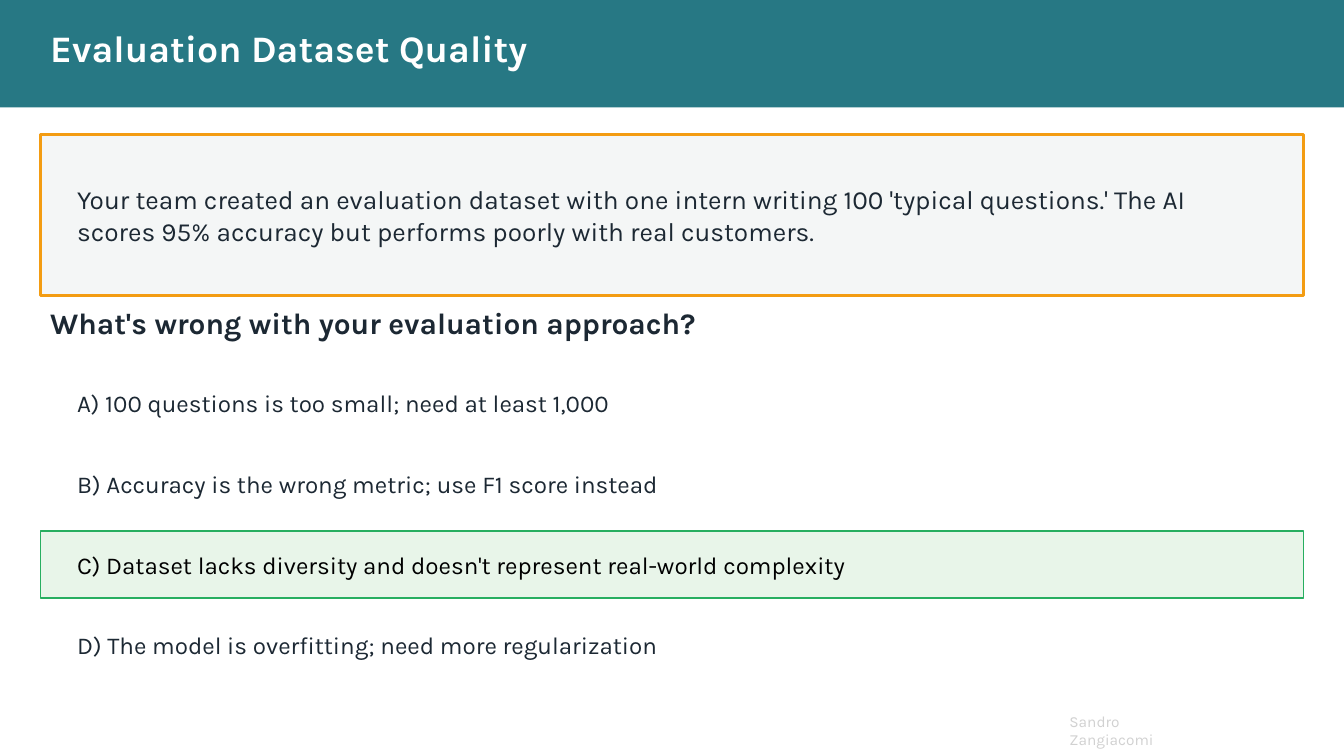
from dataclasses import dataclass

from pptx import Presentation
from pptx.dml.color import RGBColor
from pptx.enum.shapes import MSO_SHAPE
from pptx.enum.text import MSO_ANCHOR
from pptx.util import Pt

RECT = MSO_SHAPE.RECTANGLE
TOP, MIDDLE = MSO_ANCHOR.TOP, MSO_ANCHOR.MIDDLE


@dataclass(frozen=True)
class Theme:
    font: str = "Karla"
    teal: str = "277884"
    white: str = "FFFFFF"
    ink: str = "1C2833"
    black: str = "000000"
    panel: str = "F4F6F6"
    orange: str = "F39C12"
    mint: str = "E8F5E9"
    green: str = "27AE60"
    grey: str = "D1D1D1"
    title: float = 26.7
    question: float = 21.3
    scenario: float = 18.7
    option: float = 17.3
    footer: float = 11


THEME = Theme()
WIDTH, HEIGHT = 960, 540
MARGIN, INDENT = 28.8, 19.2
CONTENT_W = WIDTH - 2 * MARGIN
OPTION_H, OPTION_PITCH = 48, 57.6

SCENARIO = ("Your team created an evaluation dataset with one intern writing 100 "
            "'typical questions.' The AI scores 95% accuracy but performs poorly "
            "with real customers.")
OPTIONS = (
    "A) 100 questions is too small; need at least 1,000",
    "B) Accuracy is the wrong metric; use F1 score instead",
    "C) Dataset lacks diversity and doesn't represent real-world complexity",
    "D) The model is overfitting; need more regularization",
)
CORRECT = 2


def add_box(s, x, y, w, h, fill, line=None, line_width=1):
    sp = s.shapes.add_shape(RECT, Pt(x), Pt(y), Pt(w), Pt(h))
    sp.shadow.inherit = False
    sp.fill.solid()
    sp.fill.fore_color.rgb = RGBColor.from_string(fill)
    if line:
        sp.line.color.rgb = RGBColor.from_string(line)
        sp.line.width = Pt(line_width)
    else:
        sp.line.fill.background()


def add_text(s, x, y, w, h, text, size, color, bold=False, anchor=MIDDLE):
    tf = s.shapes.add_textbox(Pt(x), Pt(y), Pt(w), Pt(h)).text_frame
    tf.word_wrap = True
    tf.vertical_anchor = anchor
    r = tf.paragraphs[0].add_run()
    r.text = text
    for name, value in {"name": THEME.font, "size": Pt(size), "bold": bold}.items():
        setattr(r.font, name, value)
    r.font.color.rgb = RGBColor.from_string(color)


def add_header(s, x, y, w, h, title):
    add_box(s, x, y, w, h, THEME.teal)
    add_text(s, x + MARGIN, y + 9.6, 720, 48, title, THEME.title, THEME.white, bold=True)


def add_scenario(s, x, y, w, h):
    add_box(s, x, y, w, h, THEME.panel, THEME.orange, 2)
    add_text(s, x + INDENT, y + 9.6, w - 2 * INDENT, h - 19.2,
             SCENARIO, THEME.scenario, THEME.ink)


def add_options(s, x, y, w):
    """Stack the answers from y downwards and frame the correct one."""
    for i, option in enumerate(OPTIONS):
        top = y + i * OPTION_PITCH
        color = THEME.ink
        if i == CORRECT:
            color = THEME.black
            add_box(s, x, top, w, OPTION_H, THEME.mint, THEME.green)
        add_text(s, x + INDENT, top, w - 2 * INDENT, OPTION_H,
                 option, THEME.option, color)


def add_quiz_slide(prs):
    s = prs.slides.add_slide(prs.slide_layouts[6])
    add_text(s, 756.8, 504.8, 107, 35, "Sandro Zangiacomi",
             THEME.footer, THEME.grey, anchor=TOP)
    add_header(s, 0, 0, WIDTH, 76.8, "Evaluation Dataset Quality")
    add_scenario(s, MARGIN, 96, CONTENT_W, 115.2)
    add_text(s, MARGIN, 212.4, CONTENT_W, 36,
             "What's wrong with your evaluation approach?",
             THEME.question, THEME.ink, bold=True)
    add_options(s, MARGIN, 264, CONTENT_W)


def main():
    prs = Presentation()
    prs.slide_width, prs.slide_height = Pt(WIDTH), Pt(HEIGHT)
    add_quiz_slide(prs)
    prs.save("out.pptx")


if __name__ == "__main__":
    main()
